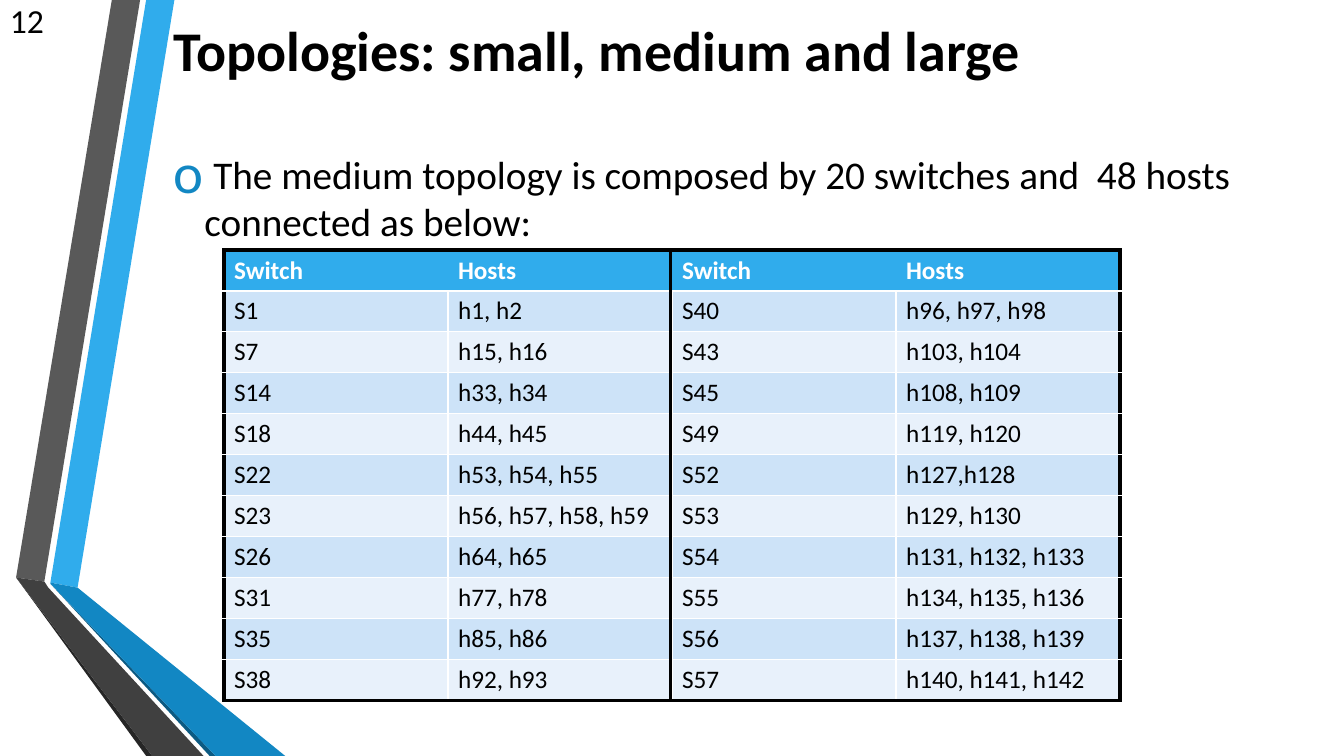
"""Build the slide that lists the switches and hosts of the medium topology."""
import pptx
import pptx.dml.color
import pptx.enum.shapes
import pptx.enum.text
import pptx.oxml
import pptx.oxml.ns
import pptx.util
from pptx.dml.color import RGBColor

TITLE = "Topologies: small, medium and large"
STATEMENT = " The medium topology is composed by 20 switches and  48 hosts connected as below:"
PAGE = "12"
HEADER = ("Switch", "Hosts", "Switch", "Hosts")
LINKS = [
    ("S1", "h1, h2", "S40", "h96, h97, h98"),
    ("S7", "h15, h16", "S43", "h103, h104"),
    ("S14", "h33, h34", "S45", "h108, h109"),
    ("S18", "h44, h45", "S49", "h119, h120"),
    ("S22", "h53, h54, h55", "S52", "h127,h128"),
    ("S23", "h56, h57, h58, h59", "S53", "h129, h130"),
    ("S26", "h64, h65", "S54", "h131, h132, h133"),
    ("S31", "h77, h78", "S55", "h134, h135, h136"),
    ("S35", "h85, h86", "S56", "h137, h138, h139"),
    ("S38", "h92, h93", "S57", "h140, h141, h142"),
]

FONT = "Calibri"
BLACK = RGBColor(0x00, 0x00, 0x00)
WHITE = RGBColor(0xFF, 0xFF, 0xFF)
SKY = RGBColor(0x30, 0xAC, 0xEC)
BLUE = RGBColor(0x12, 0x87, 0xC3)
NAVY = RGBColor(0x0C, 0x5A, 0x82)
GREY = RGBColor(0x59, 0x59, 0x59)
DARK_GREY = RGBColor(0x40, 0x40, 0x40)
SOOT = RGBColor(0x26, 0x26, 0x26)
STRIPES = (RGBColor(0xCD, 0xE3, 0xF8), RGBColor(0xE8, 0xF1, 0xFB))

WIDTH, HEIGHT = 13.33, 7.5
RIBBONS = [
    (SKY, [(0.5, 5.78), (0.77, 5.83), (1.73, 0), (1.45, 0)]),
    (GREY, [(1.39, 0), (1.11, 0), (0.16, 5.73), (0.44, 5.77)]),
    (SOOT, [(0.16, 5.73), (1.45, HEIGHT), (1.51, HEIGHT)]),
    (NAVY, [(0.5, 5.79), (2.08, HEIGHT), (2.14, HEIGHT)]),
    (BLUE, [(0.5, 5.78), (0.5, 5.79), (2.14, HEIGHT), (2.83, HEIGHT), (0.77, 5.83)]),
    (DARK_GREY, [(2.02, HEIGHT), (0.48, 5.83), (0.44, 5.77), (0.16, 5.73), (1.51, HEIGHT)]),
]
TEXT_LEFT, TEXT_WIDTH = 1.62, 10.96
TITLE_BOX = (TEXT_LEFT, 0, TEXT_WIDTH, 0.97)
STATEMENT_BOX = (TEXT_LEFT, 1.01, TEXT_WIDTH, 1.89)
PAGE_BOX = (0, 0, 0.6, 0.4)
TABLE_LEFT, TABLE_TOP = WIDTH / 6, 2.48
COLUMN, ROW = WIDTH / 6, 4.47 / 11
DIVIDER_X, DIVIDER_TOP, DIVIDER_BOTTOM = 6.65, 2.5, 6.96
INDENT = 0.31


def inches(*lengths):
    return [pptx.util.Inches(length) for length in lengths]


def write(frame, text, size, color=BLACK, bold=False, wrap=True):
    frame.word_wrap = wrap
    paragraph = frame.paragraphs[0]
    paragraph.alignment = pptx.enum.text.PP_ALIGN.LEFT
    run = paragraph.add_run()
    run.text = text
    run.font.name = FONT
    run.font.size = pptx.util.Pt(size)
    run.font.bold = bold
    run.font.color.rgb = color
    return paragraph


def add_element(parent, tag, position=None, **attributes):
    element = pptx.oxml.parse_xml(f"<a:{tag} {pptx.oxml.ns.nsdecls('a')}/>")
    for name, value in attributes.items():
        element.set(name, str(value))
    parent.insert(len(parent) if position is None else position, element)
    return element


def add_borders(cell, outer_sides, is_header):
    properties = cell._tc.get_or_add_tcPr()
    for position, side in enumerate("LRTB"):
        outer = side in outer_sides
        color, points = (BLACK, 3) if outer else (WHITE, 1)
        border = add_element(properties, f"ln{side}", position, w=pptx.util.Pt(points))
        if is_header and side in "LR" and not outer:
            add_element(border, "noFill")
        else:
            add_element(add_element(border, "solidFill"), "srgbClr", val=color)


def add_ribbons(slide):
    for color, corners in RIBBONS:
        start, *others = [inches(*corner) for corner in corners]
        builder = slide.shapes.build_freeform(*start)
        builder.add_line_segments(others, close=True)
        ribbon = builder.convert_to_shape()
        ribbon.shadow.inherit = False
        ribbon.fill.solid()
        ribbon.fill.fore_color.rgb = color
        ribbon.line.fill.background()


def add_title(slide):
    title = slide.shapes.title
    title.left, title.top, title.width, title.height = inches(*TITLE_BOX)
    title.text_frame.auto_size = pptx.enum.text.MSO_AUTO_SIZE.NONE
    title.text_frame.vertical_anchor = pptx.enum.text.MSO_ANCHOR.MIDDLE
    write(title.text_frame, TITLE, 40, bold=True)


def add_text(slide, box, text, size, wrap=True):
    frame = slide.shapes.add_textbox(*inches(*box)).text_frame
    frame.vertical_anchor = pptx.enum.text.MSO_ANCHOR.MIDDLE
    return write(frame, text, size, wrap=wrap)


def add_statement(slide):
    paragraph = add_text(slide, STATEMENT_BOX, STATEMENT, 28)
    paragraph.space_after = pptx.util.Pt(6)
    properties = paragraph._p.get_or_add_pPr()
    properties.set("marL", str(pptx.util.Inches(INDENT)))
    properties.set("indent", str(pptx.util.Inches(-INDENT)))
    add_element(add_element(properties, "buClr"), "srgbClr", val=BLUE)
    add_element(properties, "buSzPct", val=145000)
    add_element(properties, "buFont", typeface=FONT)
    add_element(properties, "buChar", char="o")


def add_hosts_table(slide):
    rows = [HEADER] + LINKS
    last_row, last_column = len(rows) - 1, len(HEADER) - 1
    table = slide.shapes.add_table(len(rows), len(HEADER), *inches(
        TABLE_LEFT, TABLE_TOP, COLUMN * len(HEADER), ROW * len(rows))).table
    for column in table.columns:
        column.width = pptx.util.Inches(COLUMN)
    for r, texts in enumerate(rows):
        table.rows[r].height = pptx.util.Inches(ROW)
        for c, text in enumerate(texts):
            cell = table.cell(r, c)
            cell.fill.solid()
            cell.fill.fore_color.rgb = STRIPES[(r - 1) % 2] if r else SKY
            write(cell.text_frame, text, 18, color=BLACK if r else WHITE, bold=r == 0)
            edges = {"L": c == 0, "R": c == last_column, "T": r == 0, "B": r == last_row}
            add_borders(cell, [side for side, outer in edges.items() if outer], r == 0)


def add_divider(slide):
    divider = slide.shapes.add_connector(
        pptx.enum.shapes.MSO_CONNECTOR.STRAIGHT,
        *inches(DIVIDER_X, DIVIDER_TOP, DIVIDER_X, DIVIDER_BOTTOM))
    divider.line.color.rgb = BLACK
    divider.line.width = pptx.util.Pt(2.25)
    add_element(divider._element.spPr, "effectLst")


def main():
    deck = pptx.Presentation()
    deck.slide_width, deck.slide_height = inches(WIDTH, HEIGHT)
    slide = deck.slides.add_slide(deck.slide_layouts[5])
    add_ribbons(slide)
    add_title(slide)
    add_statement(slide)
    add_hosts_table(slide)
    add_text(slide, PAGE_BOX, PAGE, 24, wrap=False)
    add_divider(slide)
    deck.save("out.pptx")


if __name__ == "__main__":
    main()
